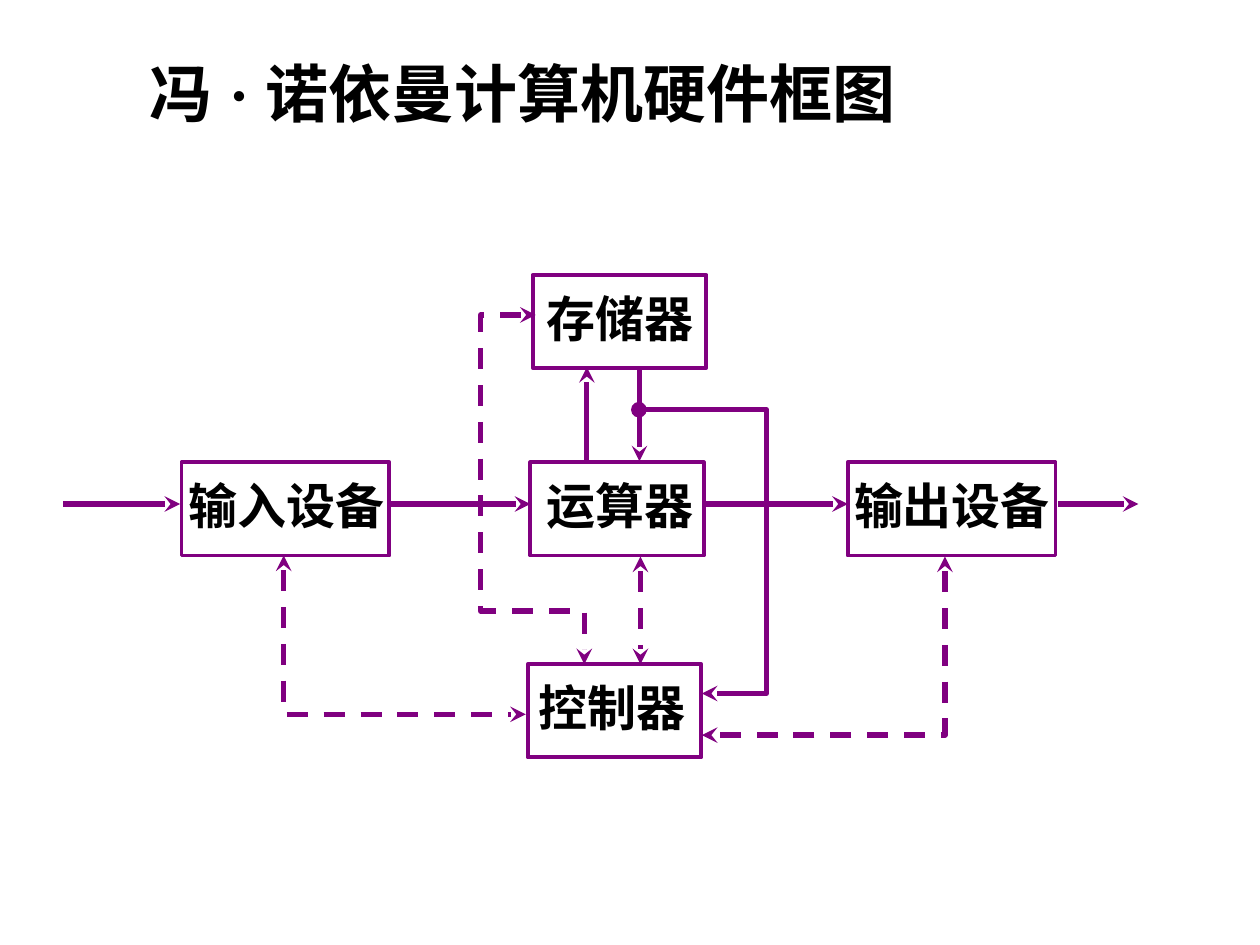
from dataclasses import dataclass

from lxml.etree import SubElement
from pptx import Presentation
from pptx.dml.color import RGBColor
from pptx.enum.dml import MSO_LINE
from pptx.enum.shapes import MSO_CONNECTOR, MSO_SHAPE
from pptx.enum.text import MSO_ANCHOR, MSO_AUTO_SIZE, PP_ALIGN
from pptx.oxml.ns import qn
from pptx.util import Cm, Pt

PURPLE = "800080"
BLACK = "000000"
CHINESE_FONT = "Noto Sans CJK SC"
LATIN_FONT = "Times New Roman"

UNIT_HEIGHT = 1.88
LABEL_DROP = 0.27
LABEL_HEIGHT = 1.19
MIDDLE_ROW = 9.32
BUS = 10.16  # height of the data line through the middle row


@dataclass
class Unit:
    name: str
    left: float
    top: float
    width: float
    label_center: float


@dataclass
class Route:
    points: list[tuple[float, float]]
    head: str = ""
    tail: str = "stealth"
    dashed: bool = False


UNITS = [
    Unit("存储器", 10.74, 5.54, 3.5, 12.5),
    Unit("输入设备", 3.66, MIDDLE_ROW, 4.19, 5.77),
    Unit("运算器", 10.69, MIDDLE_ROW, 3.5, 12.5),
    Unit("控制器", 10.64, 13.39, 3.5, 12.34),
    Unit("输出设备", 17.09, MIDDLE_ROW, 4.19, 19.19),
]

CONTROL_ROUTES = [
    Route(points, head="stealth", dashed=True)
    for points in (
        [(5.72, 11.2), (5.72, 14.4), (10.6, 14.4)],
        [(10.8, 6.35), (9.69, 6.35), (9.69, 12.32), (11.78, 12.32), (11.78, 13.39)],
        [(12.91, 11.22), (12.91, 13.39)],
        [(19.05, 11.22), (19.05, 14.82), (14.15, 14.82)],
    )
]

DATA_ROUTES = [
    Route([(11.83, 9.32), (11.83, 7.4)]),
    Route([(12.89, 7.42), (12.89, 9.3)]),
    Route([(12.88, 8.26), (15.45, 8.26), (15.45, 13.98), (14.15, 13.98)], head="oval"),
] + [
    Route([(start, BUS), (end, BUS)])
    for start, end in ((1.27, 3.63), (7.83, 10.69), (14.18, 17.09), (21.33, 22.95))
]


def color(hex_text: str) -> RGBColor:
    return RGBColor.from_string(hex_text)


def add_text(slide, left: float, top: float, width: float, height: float,
             pieces: list[tuple[str, str]], size: float):
    """Add one bold paragraph made of (text, font) pieces."""
    box = slide.shapes.add_textbox(Cm(left), Cm(top), Cm(width), Cm(height))
    frame = box.text_frame
    frame.auto_size = MSO_AUTO_SIZE.SHAPE_TO_FIT_TEXT
    frame.vertical_anchor = MSO_ANCHOR.MIDDLE
    para = frame.paragraphs[0]
    before = SubElement(para._p.get_or_add_pPr(), qn("a:spcBef"))
    SubElement(before, qn("a:spcPct"), val="20000")
    for text, font in pieces:
        span = para.add_run()
        span.text = text
        span.font.size = Pt(size)
        span.font.bold = True
        span.font.color.rgb = color(BLACK)
        span.font.name = font
        SubElement(span._r.get_or_add_rPr(), qn("a:ea"), typeface=font)
    return frame


def add_unit(slide, unit: Unit) -> None:
    box = slide.shapes.add_shape(MSO_SHAPE.RECTANGLE, Cm(unit.left), Cm(unit.top),
                                 Cm(unit.width), Cm(UNIT_HEIGHT))
    box.shadow.inherit = False
    box.fill.background()
    box.line.color.rgb = color(PURPLE)
    box.line.width = Pt(2.25)
    label_width = len(unit.name)
    frame = add_text(slide, unit.label_center - label_width / 2, unit.top + LABEL_DROP,
                     label_width, LABEL_HEIGHT, [(unit.name, CHINESE_FONT)], 28)
    frame.word_wrap = False
    frame.margin_left = frame.margin_right = frame.margin_top = frame.margin_bottom = 0
    frame.paragraphs[0].alignment = PP_ALIGN.CENTER


def add_route(slide, route: Route) -> None:
    """Draw a straight route as a connector and a bent one as an open outline."""
    points = [(Cm(x), Cm(y)) for x, y in route.points]
    if len(points) == 2:
        path_shape = slide.shapes.add_connector(MSO_CONNECTOR.STRAIGHT, *points[0], *points[1])
    else:
        builder = slide.shapes.build_freeform(*points[0])
        builder.add_line_segments(points[1:], close=False)
        path_shape = builder.convert_to_shape()
        path_shape.fill.background()
    line = path_shape.line
    line.color.rgb = color(PURPLE)
    line.width = Pt(3)
    if route.dashed:
        line.dash_style = MSO_LINE.DASH
    properties = path_shape._element.spPr
    outline = properties.find(qn("a:ln"))
    for tag, arrow in (("a:headEnd", route.head), ("a:tailEnd", route.tail)):
        if arrow:
            SubElement(outline, qn(tag), type=arrow)
    SubElement(properties, qn("a:effectLst"))


def main() -> None:
    deck = Presentation()
    deck.slide_width, deck.slide_height = Cm(25.4), Cm(19.05)
    slide = deck.slides.add_slide(deck.slide_layouts[6])
    title = [("冯", CHINESE_FONT), (" · ", LATIN_FONT), ("诺依曼计算机硬件框图", CHINESE_FONT)]
    add_text(slide, 2.77, 0.97, 16.54, 1.78, title, 36).word_wrap = True
    for unit in UNITS:
        add_unit(slide, unit)
    for route in CONTROL_ROUTES + DATA_ROUTES:
        add_route(slide, route)
    deck.save("out.pptx")


if __name__ == "__main__":
    main()
